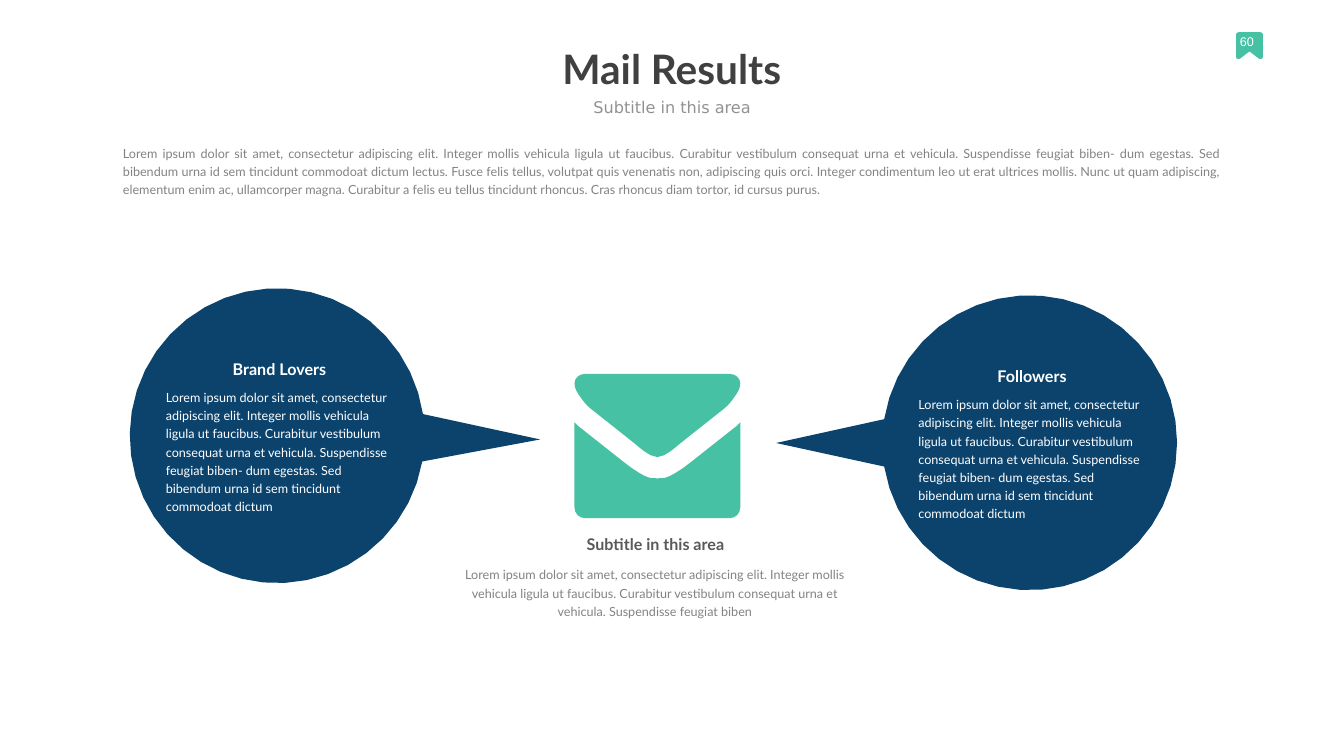
from dataclasses import dataclass
from math import atan2, cos, pi, radians, sin

from pptx import Presentation
from pptx.dml.color import RGBColor
from pptx.enum.text import MSO_ANCHOR, PP_ALIGN
from pptx.util import Inches, Pt

LEFT, MID, JUST = PP_ALIGN.LEFT, PP_ALIGN.CENTER, PP_ALIGN.JUSTIFY
TOP, CENTER = MSO_ANCHOR.TOP, MSO_ANCHOR.MIDDLE
CELL = Inches(1) / 6


@dataclass(frozen=True)
class Theme:
    teal: str = "46C1A4"
    navy: str = "0C436D"
    white: str = "FFFFFF"
    dark: str = "404040"
    slate: str = "595959"
    grey: str = "838383"
    pale: str = "929292"
    title = dict(name="Lato", size=Pt(58), bold=True)
    sub = dict(name="DejaVu Sans", size=Pt(23), bold=False)
    head = dict(name="Lato", size=Pt(23), bold=True)
    body = dict(name="Lato", size=Pt(18), bold=False)
    page = dict(name="Arial", size=Pt(18), bold=False)


def trace(steps, count=4):
    points = []
    for step in steps:
        if len(step) == 2:
            points.append(step)
            continue
        ends = [points[-1], step[:2], step[2:4], step[4:]]
        for n in range(1, count + 1):
            t = n / count
            mix = ((1 - t) ** 3, 3 * t * (1 - t) ** 2, 3 * t * t * (1 - t), t ** 3)
            points.append(tuple(sum(m * p[k] for m, p in zip(mix, ends)) for k in (0, 1)))
    return points


class Deck:
    def __init__(self, theme):
        self.theme = theme
        self.file = Presentation()
        self.file.slide_width, self.file.slide_height = Inches(26.67), Inches(15)
        self.slide = self.file.slides.add_slide(self.file.slide_layouts[6])
        self.host = self.slide.shapes

    def form(self, loops, color=None):
        scaled = [[(x * CELL, y * CELL) for x, y in loop] for loop in loops]
        pen = self.host.build_freeform(*scaled[0][0], scale=1.0)
        pen.add_line_segments(scaled[0][1:], close=True)
        for loop in scaled[1:]:
            pen.move_to(*loop[0])
            pen.add_line_segments(loop[1:], close=True)
        shape = pen.convert_to_shape()
        shape.shadow.inherit = False
        shape.line.fill.background()
        if color:
            shape.fill.solid()
            shape.fill.fore_color.rgb = RGBColor.from_string(color)
        else:
            shape.fill.background()
        return shape

    def text(self, words, box, font, color, align=MID, gap=1.0, anchor=TOP, inset=0):
        x, y, w, h = box
        shape = self.form([[(x, y), (x + w, y), (x + w, y + h), (x, y + h)]])
        frame = shape.text_frame
        pad = round(inset * CELL)
        look = dict(word_wrap=True, vertical_anchor=anchor, margin_left=pad,
                    margin_right=pad, margin_top=pad, margin_bottom=pad)
        for key, value in look.items():
            setattr(frame, key, value)
        para = frame.paragraphs[0]
        para.alignment, para.line_spacing = align, gap
        run = para.add_run()
        run.text = words
        for key, value in font.items():
            setattr(run.font, key, value)
        run.font.color.rgb = RGBColor.from_string(color)

    def mirror(self, x, y, halves, color):
        loops = []
        for half in halves:
            right = trace(half)
            left = [(-a, b) for a, b in right[-2:0:-1]]
            loops.append([(x + a, y + b) for a, b in right + left])
        self.form(loops, color)

    def bubble(self, x, y, tip, title, words):
        theme = self.theme
        self.host = self.slide.shapes.add_group_shape().shapes
        radius, mouth, count = 17.55, radians(9.25), 40
        aim = atan2(tip[1] - y, tip[0] - x)
        sweep = 2 * (pi - mouth)
        turns = [aim + mouth + sweep * n / count for n in range(count + 1)]
        arc = [(x + radius * cos(a), y + radius * sin(a)) for a in turns]
        self.form([[tip] + arc], theme.navy)
        self.text(words, (x - 13.25, y - 5.79, 27.42, 15.06),
                  theme.body, theme.white, LEFT, 1.2)
        self.text(title, (x - 13.25, y - 9.1, 27.06, 2.34), theme.head, theme.white)
        self.host = self.slide.shapes


BADGE = [[(0, 0), (1.29, 0), (1.45, 0, 1.59, 0.12, 1.59, 0.27), (1.59, 2.94),
          (1.59, 3.2, 1.3, 3.25, 1.1, 3.12), (0, 2.28)]]
MAIL = [
    [(0, 0), (8.67, 0), (9.3, 0, 9.87, 0.5, 9.87, 1.14),
     (9.87, 1.68, 9.55, 2.25, 9.15, 2.76), (8.8, 3.3, 8.4, 3.75, 8, 4.08),
     (2.85, 8.16), (2.4, 8.5, 1, 9.9, 0, 9.9)],
    [(0, 12.42), (0.35, 12.42, 0.8, 12.42, 1.11, 12.3),
     (1.5, 12.2, 2.6, 11.6, 3.99, 10.5), (9.45, 6.18), (9.87, 5.76), (9.87, 15.9),
     (9.87, 16.6, 9.3, 17.16, 8.67, 17.16), (0, 17.16)],
]
LEAD = ("Lorem ipsum dolor sit amet, consectetur adipiscing elit. Integer mollis "
        "vehicula ligula ut faucibus. Curabitur vestibulum consequat urna et vehicula. "
        "Suspendisse feugiat biben")
NOTE = LEAD + "- dum egestas. Sed bibendum urna id sem tincidunt commodoat dictum"
INTRO = NOTE + (
    " lectus. Fusce felis tellus, volutpat quis venenatis non, adipiscing quis orci. "
    "Integer condimentum leo ut erat ultrices mollis. Nunc ut quam adipiscing, "
    "elementum enim ac, ullamcorper magna. Curabitur a felis eu tellus tincidunt "
    "rhoncus. Cras rhoncus diam tortor, id cursus purus.")
LABEL = "Subtitle in this area"


def main():
    theme = Theme()
    deck = Deck(theme)
    deck.mirror(148.77, 3.84, BADGE, theme.teal)
    deck.text(INTRO, (14.64, 17.02, 130.68, 6.24), theme.body, theme.grey, JUST, 1.2)
    deck.text("60", (147.62, 4.02, 2.4, 2.34), theme.page, theme.white, LEFT)
    deck.text("Mail Results", (21.6, 4.95, 116.76, 6.42), theme.title, theme.dark,
              anchor=CENTER, inset=0.36)
    deck.text(LABEL, (21.66, 11.58, 116.76, 2.34), theme.sub, theme.pale)
    deck.mirror(78.27, 44.52, MAIL, theme.teal)
    deck.bubble(122.6, 52.71, (92.4, 52.74), "Followers", NOTE)
    deck.bubble(33, 51.87, (64.32, 52.32), "Brand Lovers", NOTE)
    deck.text(LEAD, (55.02, 67.18, 45.9, 6.24), theme.body, theme.grey, gap=1.2)
    deck.text(LABEL, (65.42, 63.6, 25.26, 2.34), theme.head, theme.slate)
    deck.file.save("out.pptx")


if __name__ == "__main__":
    main()
